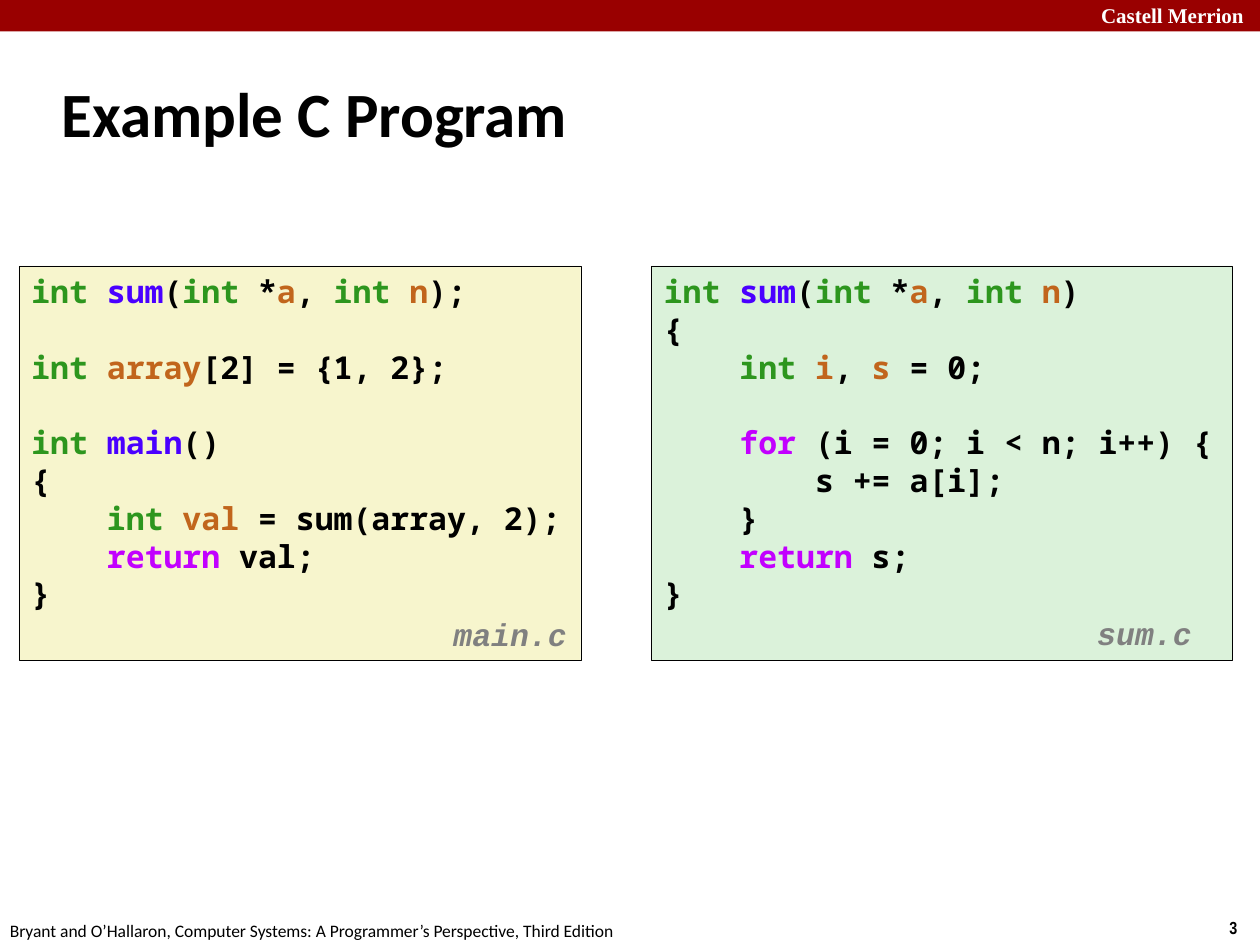
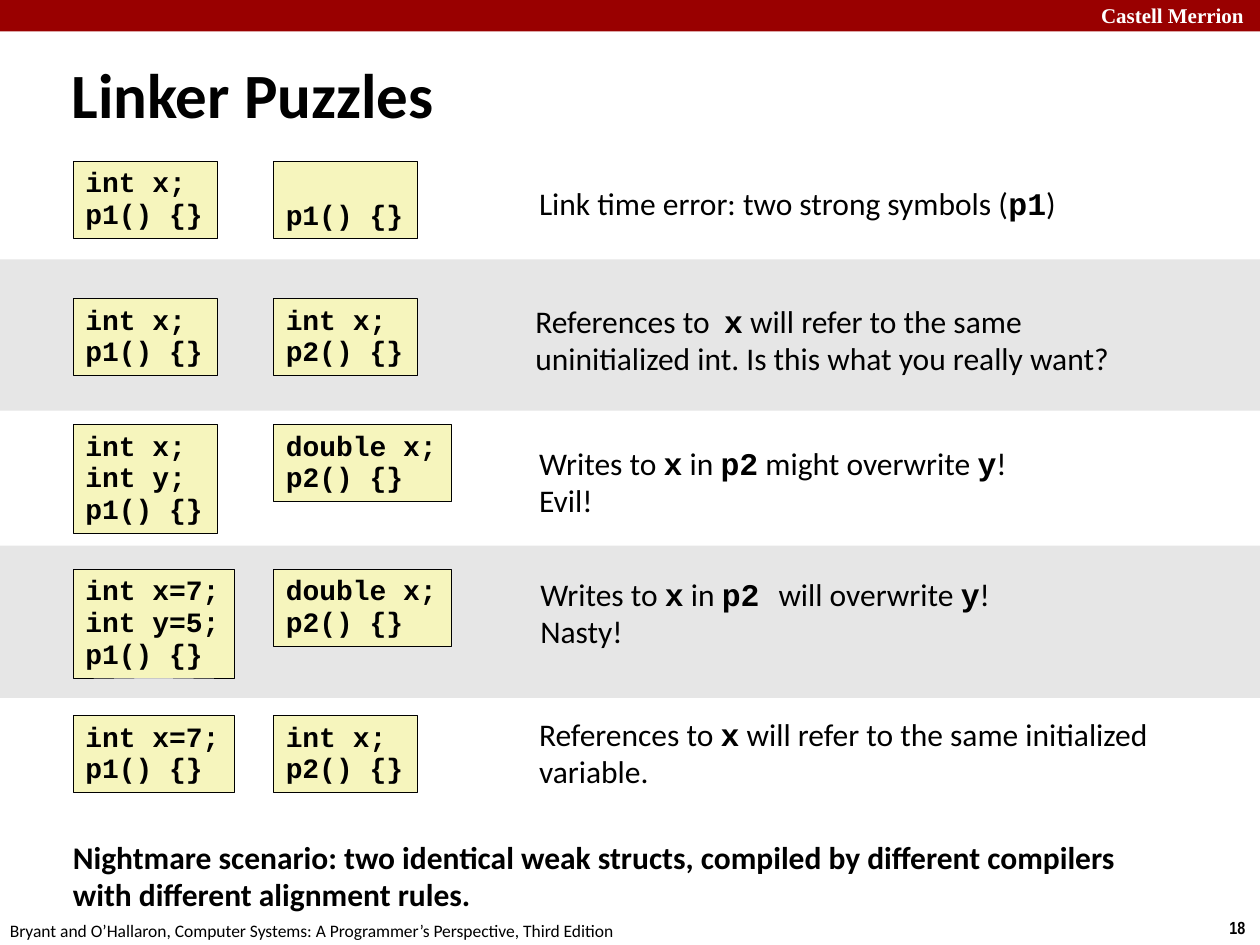
from dataclasses import dataclass

import pptx
import pptx.dml.color
import pptx.enum.shapes
import pptx.enum.text
import pptx.util

Inches = pptx.util.Inches
Pt = pptx.util.Pt
ANCHOR = pptx.enum.text.MSO_ANCHOR

# ---- Content ----
SCHOOL = "Castell Merrion"
BOOK = ("Bryant and O’Hallaron, Computer Systems: "
        "A Programmer’s Perspective, Third Edition")

# A code line is (indent level, blank lines above, [(token kind, text), ...]).
SUM_HEAD = [("type", "int "), ("func", "sum"), ("code", "("), ("type", "int"),
            ("code", " *"), ("var", "a"), ("code", ", "), ("type", "int "),
            ("var", "n")]
MAIN_C = [
    (0, 0, SUM_HEAD + [("code", ");")]),
    (0, 1, [("type", "int "), ("var", "array"), ("code", "[2] = {1, 2};")]),
    (0, 1, [("type", "int "), ("func", "main"), ("code", "()")]),
    (0, 0, [("code", "{")]),
    (1, 0, [("type", "int "), ("var", "val"), ("code", " = sum(array, 2);")]),
    (1, 0, [("key", "return"), ("code", " val;")]),
    (0, 0, [("code", "}")]),
]
SUM_C = [
    (0, 0, SUM_HEAD + [("code", ")")]),
    (0, 0, [("code", "{")]),
    (1, 0, [("type", "int "), ("var", "i"), ("code", ", "), ("var", "s"),
            ("code", " = 0;")]),
    (1, 1, [("key", "for"), ("code", " (i = 0; i < n; i++) {")]),
    (2, 0, [("code", "s += a[i];")]),
    (1, 0, [("code", "}")]),
    (1, 0, [("key", "return"), ("code", " s;")]),
    (0, 0, [("code", "}")]),
]
# Lines, fill, left, width, file name, place of the file name.
LISTINGS = [
    (MAIN_C, "F7F5CD", 0.15, 4.46, "main.c", (3.5, 4.86, 1.17, 0.39)),
    (SUM_C, "DBF2DA", 5.17, 4.61, "sum.c", (8.61, 4.85, 1.02, 0.39)),
]

# Top of the modules, left module, right module, note, place of the note.
# Backquotes mark code inside a note.
PUZZLES = [
    (1.28, ["int x;", "p1() {}"], ["p1() {}"],
     ["Link time error: two strong symbols (`p1`)"], (4.18, 1.43, 4.43, 0.4)),
    (2.37, ["int x;", "p1() {}"], ["int x;", "p2() {}"],
     ["References to  `x` will refer to the same ",
      "uninitialized int. Is this what you really want?"],
     (4.15, 2.36, 4.81, 0.7)),
    (3.37, ["int x;", "int y;", "p1() {}"], ["double x;", "p2() {}"],
     ["Writes to `x` in `p2` might overwrite `y`!", "Evil!"],
     (4.18, 3.49, 3.95, 0.7)),
    (4.52, ["int x=7;", "int y=5;", "p1() {}"], ["double x;", "p2() {}"],
     ["Writes to `x` in `p2 `will overwrite `y`!", "Nasty!"],
     (4.19, 4.53, 3.8, 0.7)),
    (5.68, ["int x=7;", "p1() {}"], ["int x;", "p2() {}"],
     ["References to `x` will refer to the same initialized", "variable."],
     (4.18, 5.64, 5.09, 0.7)),
]
BANDS = [(4.33, 1.21), (2.06, 1.2)]
MODULE_LEFTS = (0.58, 2.17)
NIGHTMARE = [
    "Nightmare scenario: two identical weak structs, "
    "compiled by different compilers",
    "with different alignment rules.",
]


# ---- Theme ----
@dataclass(frozen=True)
class Style:
    """Look of one run of text."""
    font: str
    size: float
    color: str = "000000"
    bold: bool = False
    italic: bool = False


class Theme:
    """Colours and type of the deck."""
    bar, band, module, outline = "990000", "E6E6E6", "F6F5BD", "000000"
    school = Style("Times New Roman", 12, "FFFFFF", True)
    number = Style("Arial Narrow", 10, bold=True)
    footer = Style("Calibri", 10)
    title = Style("Calibri", 36, bold=True)
    note = Style("Calibri", 18)
    strong = Style("Calibri", 18, bold=True)
    inline = Style("Courier New", 18, bold=True)
    small_code = Style("Courier New", 16, bold=True)
    file_name = Style("Courier New", 18, "808080", True, True)
    tokens = {kind: Style("Noto Sans Mono", 18, color, True)
              for kind, color in [("type", "2D961E"), ("func", "4A00FF"),
                                  ("var", "C1651C"), ("key", "C200FF"),
                                  ("code", "000000")]}
    code_line = 21.6    # height of one listing line, points
    code_indent = 0.6   # four listing characters, inches
    code_spacing, note_spacing = 0.94, 0.98


# ---- Helpers ----
def rgb(color):
    """Turn RRGGBB into a colour."""
    return pptx.dml.color.RGBColor.from_string(color)


def add_rect(s, at, fill, line=None):
    """Add a flat rectangle, outlined when a line width is given."""
    sp = s.shapes.add_shape(pptx.enum.shapes.MSO_SHAPE.RECTANGLE,
                            *map(Inches, at))
    sp.shadow.inherit = False
    sp.fill.solid()
    sp.fill.fore_color.rgb = rgb(fill)
    if line:
        sp.line.color.rgb = rgb(Theme.outline)
        sp.line.width = Pt(line)
    else:
        sp.line.fill.background()
    return sp


def write(sp, lines, spacing=None, wrap=False, anchor=ANCHOR.TOP, grow=True):
    """Fill a shape with lines, each a list of (style, text); return them."""
    tf = sp.text_frame
    tf.word_wrap = wrap
    tf.vertical_anchor = anchor
    if grow:
        tf.auto_size = pptx.enum.text.MSO_AUTO_SIZE.SHAPE_TO_FIT_TEXT
    for i, line in enumerate(lines):
        p = tf.add_paragraph() if i else tf.paragraphs[0]
        p.alignment = pptx.enum.text.PP_ALIGN.LEFT
        if spacing:
            p.line_spacing = spacing
        for style, text in line:
            r = p.add_run()
            r.text = text
            r.font.name = style.font
            r.font.size = Pt(style.size)
            r.font.bold = style.bold
            r.font.italic = style.italic
            r.font.color.rgb = rgb(style.color)
    return tf.paragraphs


def add_text(s, at, lines, **options):
    """Add a text box holding the lines."""
    write(s.shapes.add_textbox(*map(Inches, at)), lines, **options)


def add_slide(prs, number, title, title_at, bands=()):
    """Add a slide with the shared bar, footer, number and title."""
    s = prs.slides.add_slide(prs.slide_layouts[6])
    add_rect(s, (0, 0, 10, 0.25), Theme.bar)
    add_text(s, (8.64, -0.03, 1.43, 0.3), [[(Theme.school, SCHOOL)]],
             wrap=True)
    add_text(s, (9.66, 7.23, 0.34, 0.27), [[(Theme.number, str(number))]])
    add_text(s, (-0.02, 7.25, 5.08, 0.27), [[(Theme.footer, BOOK)]])
    for top, height in bands:
        add_rect(s, (0, top, 10, height), Theme.band)
    add_text(s, title_at, [[(Theme.title, title)]], wrap=True,
             anchor=ANCHOR.MIDDLE, grow=False)
    return s


def add_listing(s, code, fill, left, width, name, name_at):
    """Add a coloured source listing with its file name."""
    sp = add_rect(s, (left, 2.11, width, 3.13), fill, 0.25)
    lines = [[(Theme.tokens[kind], text) for kind, text in tokens]
             for _, _, tokens in code]
    for p, (level, blanks, _) in zip(write(sp, lines), code):
        p.space_before = Pt(blanks * Theme.code_line)
        pPr = p._p.get_or_add_pPr()
        pPr.set("marL", str(Inches(level * Theme.code_indent)))
        pPr.set("indent", "0")
    add_text(s, name_at, [[(Theme.file_name, name)]],
             spacing=Theme.code_spacing)


def add_module(s, left, top, code):
    """Add a small code box sized by its text, at least two lines high."""
    width = 0.21 + max(map(len, code)) * 0.4 / 3
    height = 0.11 + 0.25 * max(len(code), 2)
    sp = add_rect(s, (left, top, width, height), Theme.module, 0.26)
    write(sp, [[(Theme.small_code, text)] for text in code],
          spacing=Theme.code_spacing,
          anchor=ANCHOR.BOTTOM if len(code) == 1 else ANCHOR.TOP,
          grow=len(code) > 1)


def note_runs(text):
    """Split a note at its backquotes into plain and code runs."""
    return [(Theme.inline if i % 2 else Theme.note, part)
            for i, part in enumerate(text.split("`")) if part]


# ---- Slides ----
def build_program(prs):
    """Slide with the two source files side by side."""
    s = add_slide(prs, 3, "Example C Program", (0.39, 0.48, 8.3, 0.83))
    for listing in LISTINGS:
        add_listing(s, *listing)


def build_puzzles(prs):
    """Slide with pairs of modules and what the linker does with them."""
    s = add_slide(prs, 18, "Linker Puzzles", (0.47, 0.31, 9.53, 0.86), BANDS)
    for top, first, second, note, note_at in PUZZLES:
        for left, code in zip(MODULE_LEFTS, (first, second)):
            add_module(s, left, top, code)
        add_text(s, note_at, [note_runs(text) for text in note],
                 spacing=Theme.note_spacing)
    add_text(s, (0.48, 6.62, 8.54, 0.7),
             [[(Theme.strong, text)] for text in NIGHTMARE],
             spacing=Theme.note_spacing)


prs = pptx.Presentation()
prs.slide_width, prs.slide_height = Inches(10), Inches(7.5)
build_program(prs)
build_puzzles(prs)
prs.save("out.pptx")
